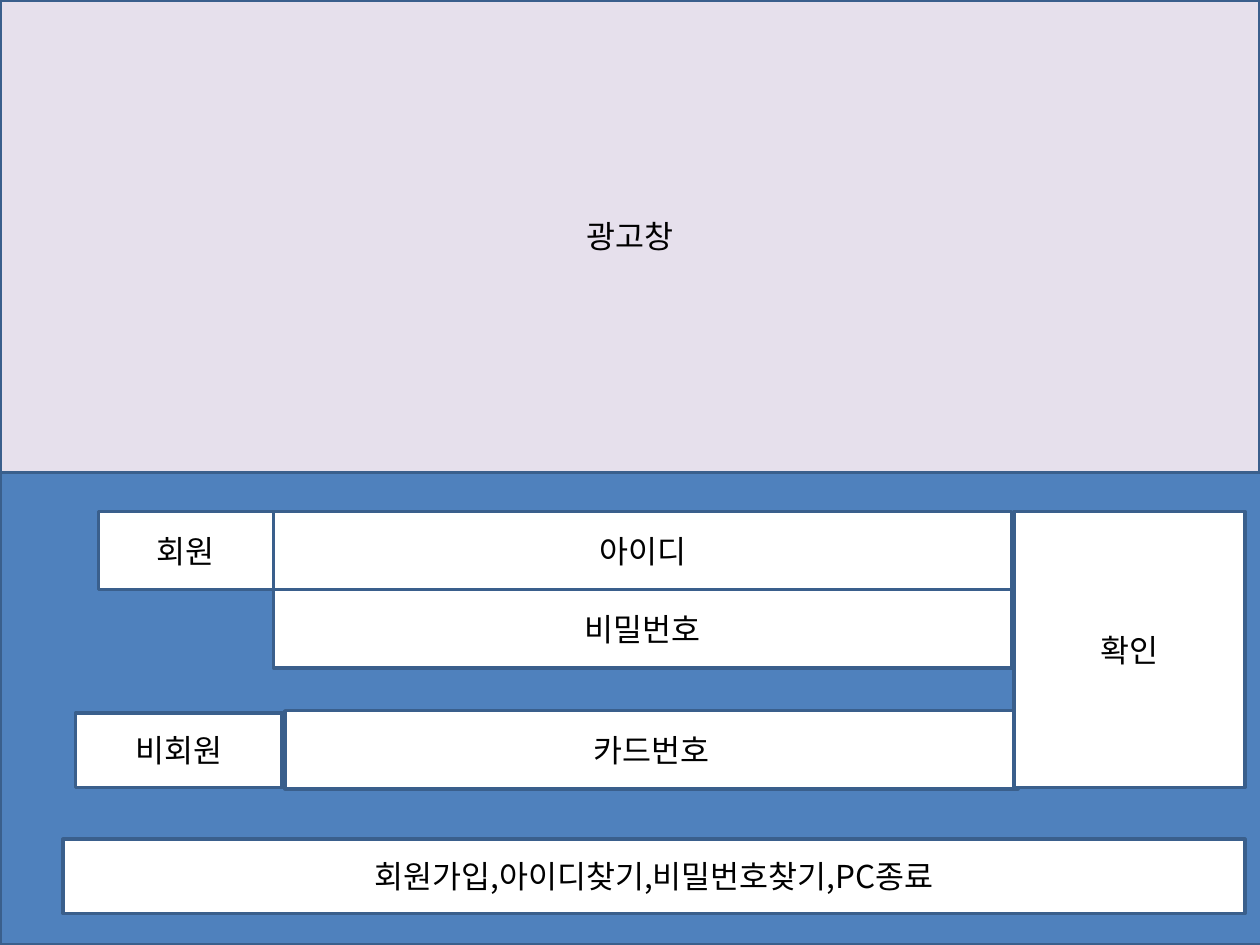
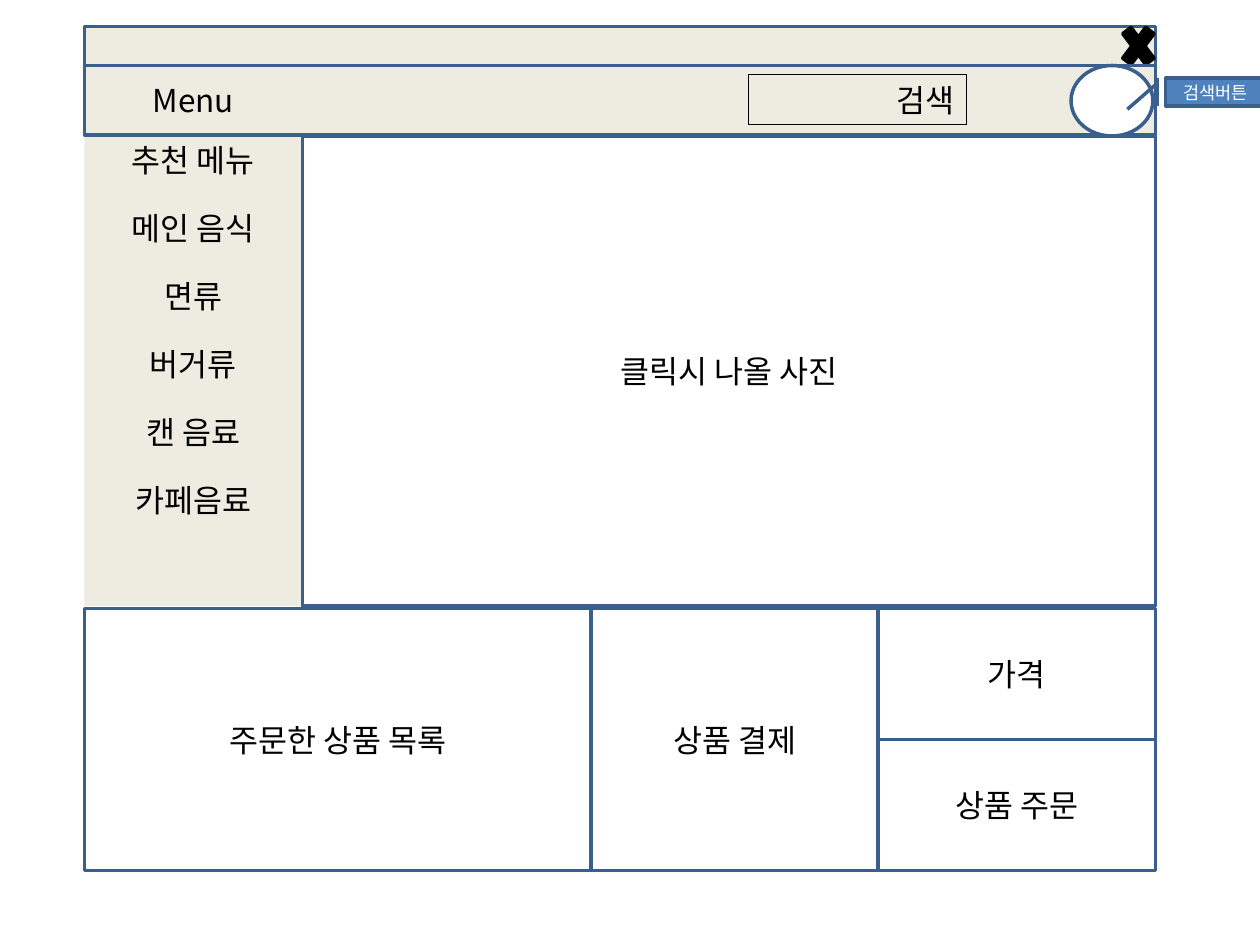
import pptx
import pptx.dml.color
import pptx.enum.shapes
import pptx.enum.text
import pptx.oxml
import pptx.oxml.ns
import pptx.util
from pptx.dml.color import RGBColor
from pptx.enum.shapes import MSO_SHAPE
from pptx.enum.text import MSO_ANCHOR, PP_ALIGN
from pptx.util import Inches, Pt

FONT = "Noto Sans CJK KR"
BLACK = RGBColor(0x00, 0x00, 0x00)
WHITE = RGBColor(0xFF, 0xFF, 0xFF)
BLUE = RGBColor(0x4F, 0x81, 0xBD)
NAVY = RGBColor(0x3A, 0x5F, 0x8C)
BEIGE = RGBColor(0xEE, 0xEC, 0xE1)
LILAC = RGBColor(0xE6, 0xE0, 0xEC)


class Wireframe:
    """Holds the presentation, its current slide and the shared style."""

    def __init__(self):
        self.presentation = pptx.Presentation()
        self.presentation.slide_width = Inches(10)
        self.presentation.slide_height = Inches(7.5)
        self.slide = None

    def add_slide(self):
        blank_layout = self.presentation.slide_layouts[6]
        self.slide = self.presentation.slides.add_slide(blank_layout)

    def format_paragraph(self, paragraph, size, color, align):
        paragraph.alignment = align
        paragraph.font.name = FONT
        paragraph.font.size = Pt(size)
        paragraph.font.color.rgb = color
        east_asian = pptx.oxml.parse_xml(
            f'<a:ea {pptx.oxml.ns.nsdecls("a")} typeface="{FONT}"/>')
        paragraph.font._element.find(pptx.oxml.ns.qn("a:latin")).addnext(east_asian)

    def set_text(self, shape, lines, size=18, color=BLACK, align=PP_ALIGN.CENTER,
                 anchor=MSO_ANCHOR.MIDDLE, gap=0):
        frame = shape.text_frame
        frame.word_wrap = True
        frame.vertical_anchor = anchor
        frame.text = "\n".join(lines)
        for paragraph in frame.paragraphs:
            self.format_paragraph(paragraph, size, color, align)
            paragraph.space_after = Pt(gap)

    def panel(self, left, top, width, height, text="", fill=WHITE, line=NAVY,
              line_width=2, kind=MSO_SHAPE.RECTANGLE, **text_style):
        """Draw a preset shape; a fill or line of None is left out."""
        shape = self.slide.shapes.add_shape(
            kind, Inches(left), Inches(top), Inches(width), Inches(height))
        shape.shadow.inherit = False
        if fill is None:
            shape.fill.background()
        else:
            shape.fill.solid()
            shape.fill.fore_color.rgb = fill
        if line is None:
            shape.line.fill.background()
        else:
            shape.line.color.rgb = line
            shape.line.width = Pt(line_width)
        if text:
            self.set_text(shape, text.split("\n"), **text_style)

    def label(self, left, top, width, height, text):
        box = self.slide.shapes.add_textbox(
            Inches(left), Inches(top), Inches(width), Inches(height))
        self.set_text(box, [text], anchor=MSO_ANCHOR.TOP)


def build_login(wireframe):
    wireframe.add_slide()
    half, row_height = 3.75, 0.62
    form_top, field_left, field_width = 4.06, 2.17, 5.86

    wireframe.panel(0, half, 10.04, half, fill=BLUE)
    wireframe.panel(0.78, form_top, 1.39, row_height, "회원")
    for row, field in enumerate(["아이디", "비밀번호"]):
        wireframe.panel(field_left, form_top + row * row_height,
                        field_width, row_height, field)
    wireframe.panel(0.6, 5.66, 1.64, 0.59, "비회원")
    wireframe.panel(2.26, 5.64, 5.82, row_height, "카드번호")
    wireframe.panel(0.5, 6.66, 9.38, 0.59, "회원가입,아이디찾기,비밀번호찾기,PC종료")
    wireframe.panel(8.05, form_top, 1.83, 2.19, "확인")
    wireframe.panel(0, 0, 10, half, "광고창", fill=LILAC)


def build_order(wireframe):
    wireframe.add_slide()
    left, width, side_width = 0.67, 8.5, 1.73
    title_top, menu_top, content_top, order_top = 0.21, 0.52, 1.07, 4.83
    order_height = 2.08

    categories = ["추천 메뉴", "메인 음식", "면류", "버거류", "캔 음료", "카페음료"]
    wireframe.panel(left, content_top, side_width, 3.74, "\n".join(categories),
                    fill=BEIGE, line=None, anchor=MSO_ANCHOR.TOP, gap=17.2)

    wireframe.panel(left, title_top, width, menu_top - title_top, fill=BEIGE)
    wireframe.panel(8.86, 0.13, 0.35, 0.47, fill=BLACK, line=BLACK,
                    kind=MSO_SHAPE.MATH_MULTIPLY)
    wireframe.panel(left, menu_top, width, content_top - menu_top, fill=BEIGE)
    wireframe.label(left, 0.59, side_width, 0.4, "Menu")
    wireframe.panel(5.94, 0.59, side_width, 0.4, "검색", fill=None, line=BLACK,
                    line_width=0.75, align=PP_ALIGN.RIGHT, anchor=MSO_ANCHOR.TOP)
    wireframe.panel(8.5, menu_top, 0.65, 0.56, kind=MSO_SHAPE.OVAL)
    wireframe.panel(9.25, 0.62, 0.79, 0.22, "검색버튼", fill=BLUE, size=10, color=WHITE,
                    kind=MSO_SHAPE.LINE_CALLOUT_1_BORDER_AND_ACCENT_BAR)

    wireframe.panel(left + side_width, 1.08, width - side_width, 3.73, "클릭시 나올 사진")
    column_left = left
    for column_width, cells in [(4.02, ["주문한 상품 목록"]),
                                (2.28, ["상품 결제"]),
                                (2.2, ["가격", "상품 주문"])]:
        cell_height = order_height / len(cells)
        for row, cell in enumerate(cells):
            wireframe.panel(column_left, order_top + row * cell_height,
                            column_width, cell_height, cell)
        column_left += column_width


def main():
    wireframe = Wireframe()
    build_login(wireframe)
    build_order(wireframe)
    wireframe.presentation.save("out.pptx")


if __name__ == "__main__":
    main()
